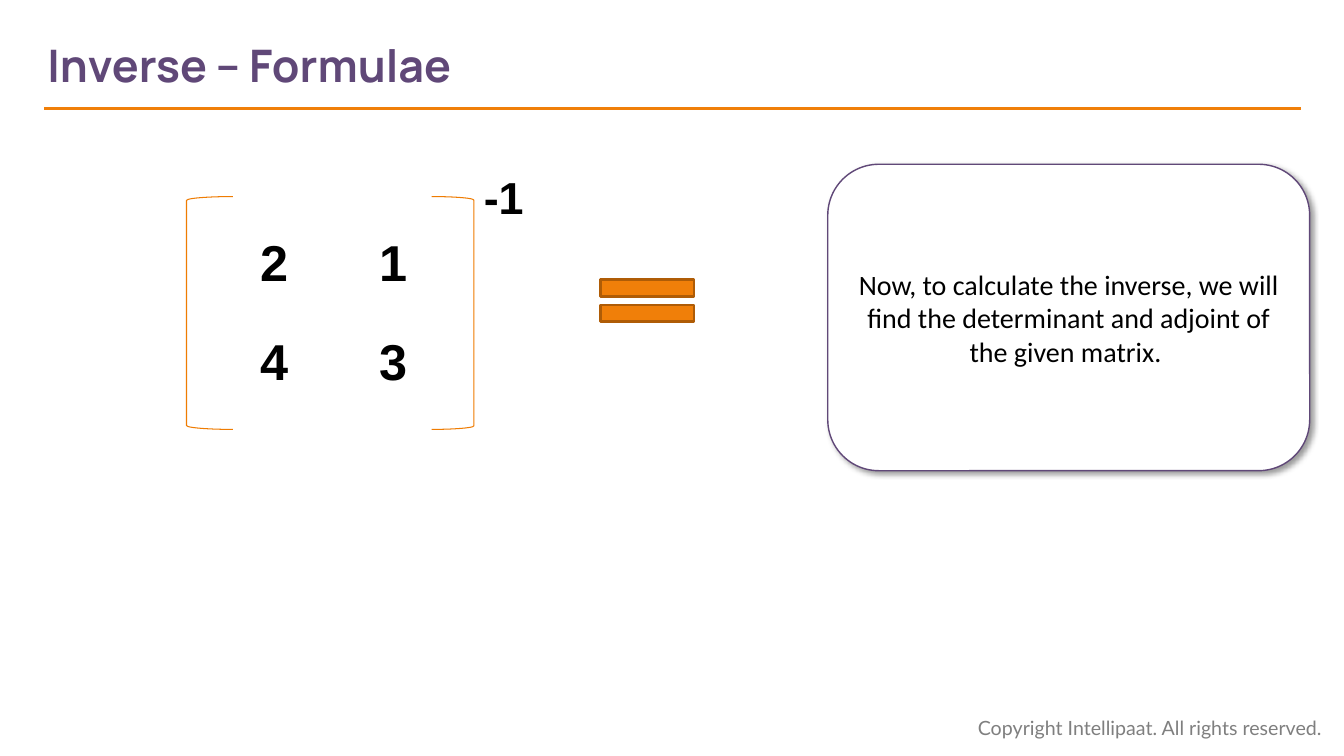
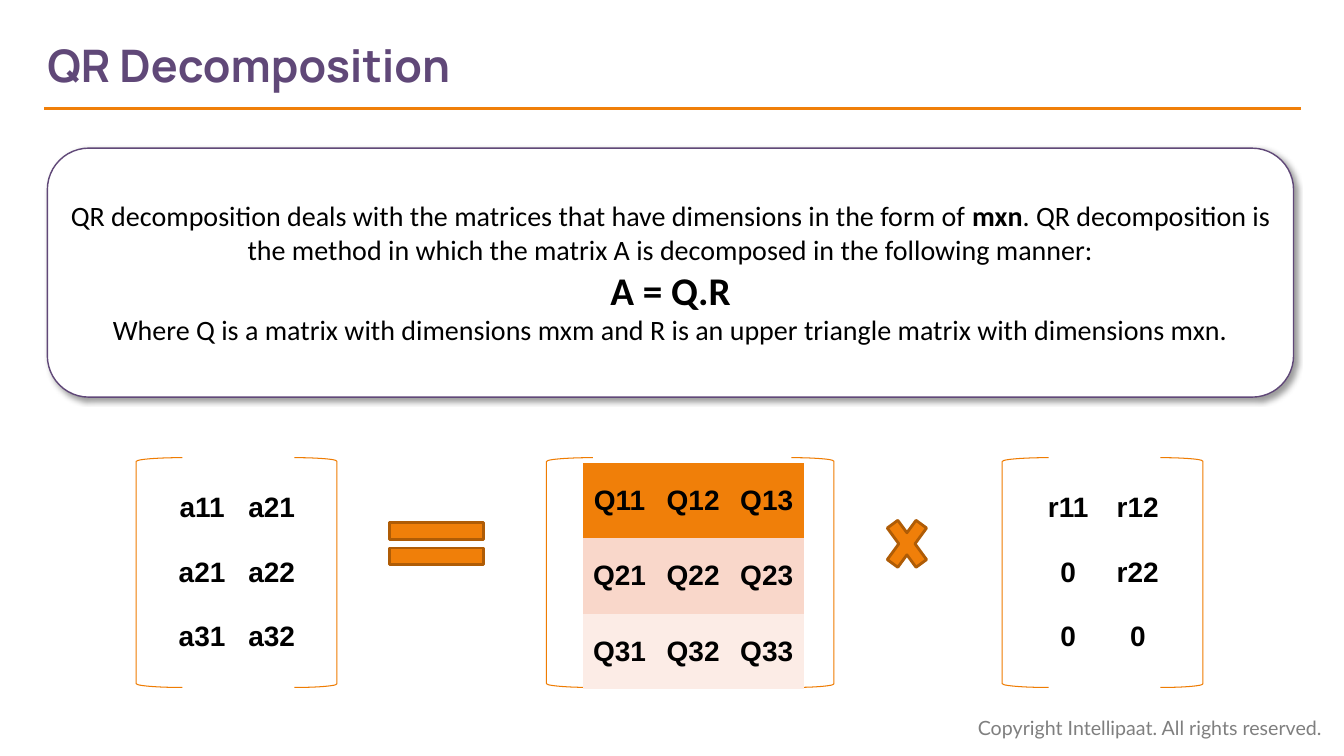
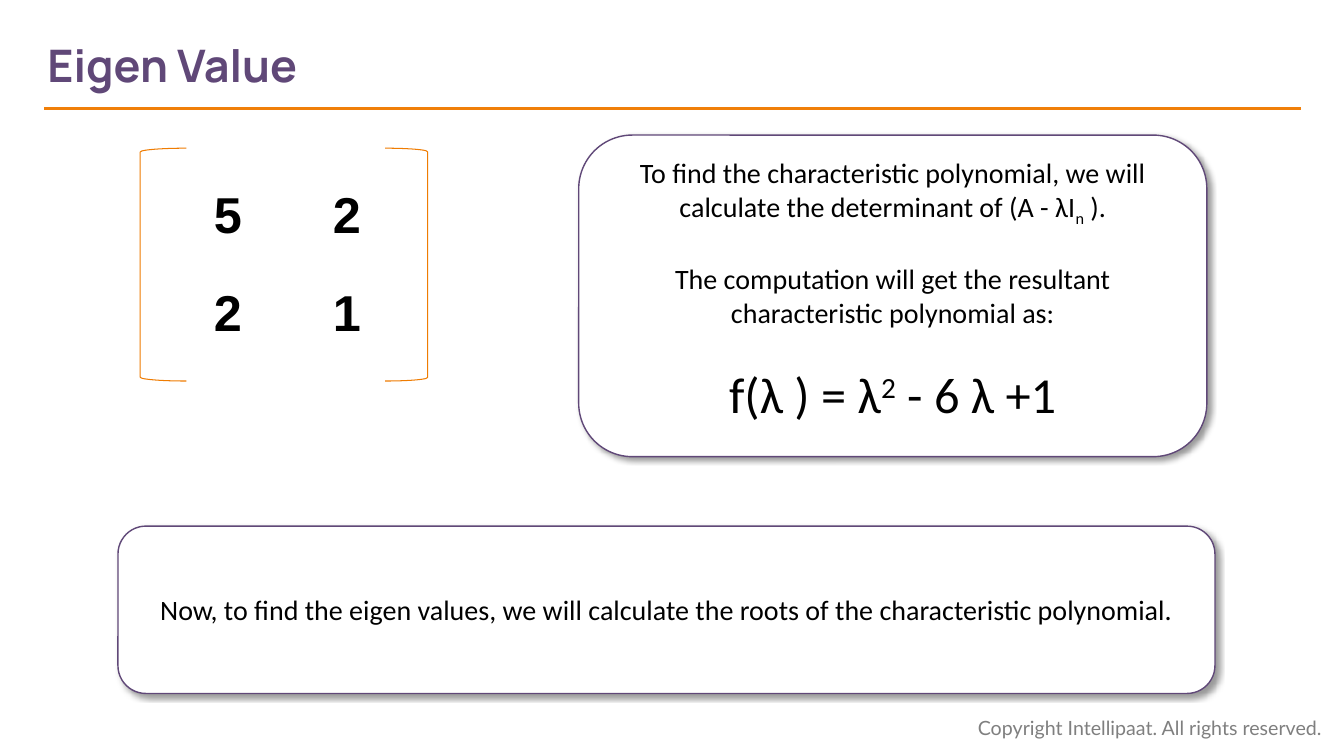
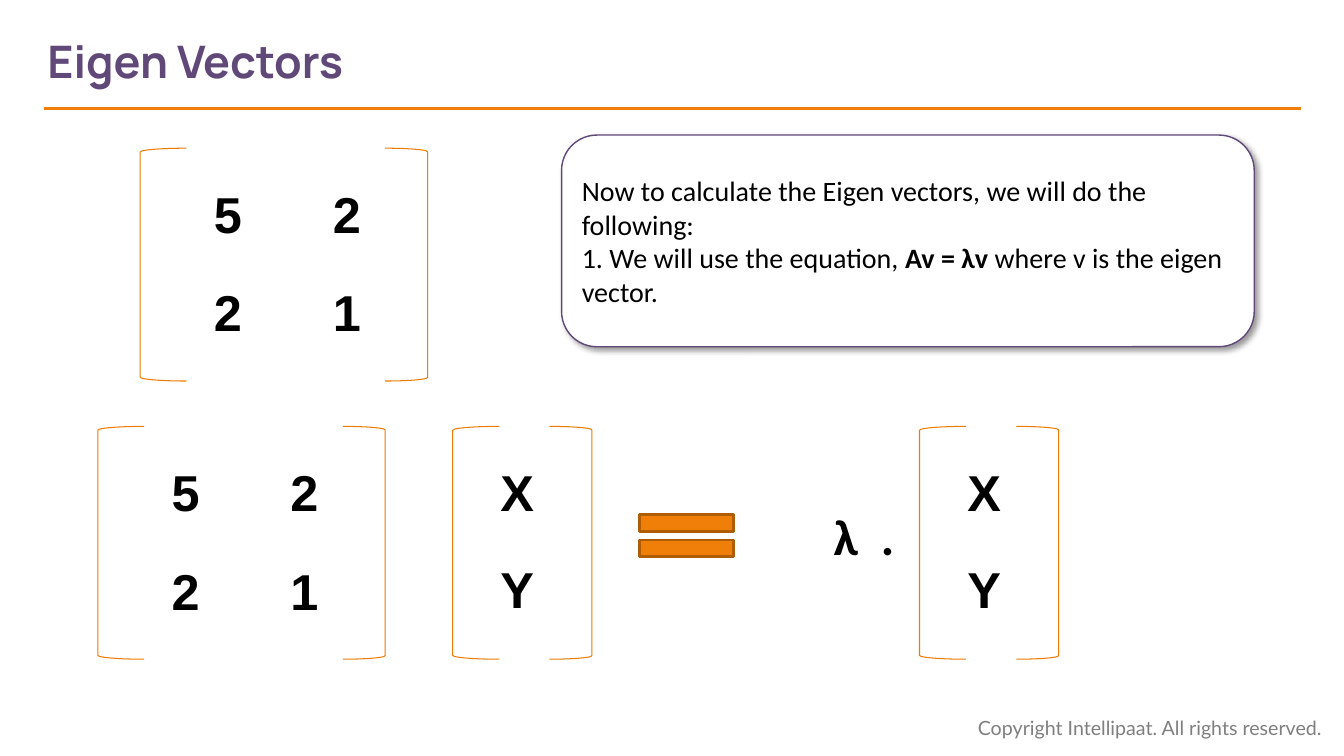
"""Builds four slides on matrix inverse, QR decomposition and eigen values."""
import pptx
import pptx.util
import pptx.dml.color
import pptx.enum.shapes
import pptx.enum.text
import pptx.oxml
import pptx.oxml.ns

Inches, Pt = pptx.util.Inches, pptx.util.Pt
RGBColor = pptx.dml.color.RGBColor
SHAPE = pptx.enum.shapes.MSO_SHAPE
ANCHOR = pptx.enum.text.MSO_ANCHOR
ALIGN = pptx.enum.text.PP_ALIGN

ORANGE = RGBColor(0xF0, 0x7F, 0x09)
DARK_ORANGE = RGBColor(0xAF, 0x5C, 0x06)
BRACKET = RGBColor(0xEF, 0x7C, 0x02)
PURPLE = RGBColor(0x60, 0x48, 0x78)
PEACH = RGBColor(0xF9, 0xD7, 0xCA)
PALE = RGBColor(0xFC, 0xEC, 0xE6)
WHITE = RGBColor(0xFF, 0xFF, 0xFF)
BLACK = RGBColor(0, 0, 0)
GREY = RGBColor(0x7F, 0x7F, 0x7F)

FOOTER = "Copyright Intellipaat. All rights reserved."
NO_GRID = "{2D5ABB26-0587-4C30-8999-92F81FD0307C}"
SHADOW = (
    '<a:outerShdw %s blurRad="50800" dist="38100" dir="2700000" algn="tl" rotWithShape="0">'
    '<a:srgbClr val="000000"><a:alpha val="40000"/></a:srgbClr></a:outerShdw>'
    % pptx.oxml.ns.nsdecls("a")
)

PAIR = dict(size=(2.85, 2.31), cell=(1.18, 0.98), inset=(0.28, 0.18), pt=36)
VECTOR = dict(size=(1.38, 2.31), cell=(0.86, 0.96), inset=(0.21, 0.19), pt=36)
TALL = dict(size=(1.99, 2.28), cell=(0.69, 0.64), inset=(0.31, 0.18), pt=20)
BANDED = dict(size=(2.85, 2.28), cell=(0.73, 0.75), inset=(0.36, 0.05), pt=20,
              fills=(ORANGE, PEACH, PALE))
EQUAL = (SHAPE.MATH_EQUAL, 1.26, 0.71)
TIMES = (SHAPE.MATH_MULTIPLY, 0.55, 0.75)

BOLD = dict(bold=True)
BIG = dict(size=36)
EIGEN_MATRIX = ["5 2", "2 1"]

SLIDES = [
    dict(
        title="Inverse – Formulae",
        callouts=[dict(at=(8.21, 1.63, 4.78, 3.04), paragraphs=[
            [("Now, to calculate the inverse, we will find the determinant and adjoint "
              "of the given matrix. ", {})]])],
        matrices=[(PAIR, 1.85, 1.95, ["2 1", "4 3"])],
        symbols=[(EQUAL, 5.79, 2.63)],
        labels=[("-1", (4.7, 1.63, 0.69, 0.64), "Arial", 32)],
    ),
    dict(
        title="QR Decomposition",
        callouts=[dict(at=(0.47, 1.47, 12.36, 2.47), paragraphs=[
            [("QR decomposition deals with the matrices that have dimensions in the form of ", {}),
             ("mxn", BOLD),
             (". QR decomposition is the method in which the matrix A is decomposed "
              "in the following manner:", {})],
            [("A = Q.R", dict(size=28, bold=True))],
            [("Where Q is a matrix with dimensions mxm and R is an upper triangle matrix "
              "with dimensions mxn.", {})]])],
        matrices=[
            (TALL, 1.35, 4.54, ["a11 a21", "a21 a22", "a31 a32"]),
            (BANDED, 5.42, 4.54, ["Q11 Q12 Q13", "Q21 Q22 Q23", "Q31 Q32 Q33"]),
            (TALL, 9.94, 4.54, ["r11 r12", "0 r22", "0 0"]),
        ],
        symbols=[(EQUAL, 3.7, 5.04), (TIMES, 8.72, 5.02)],
    ),
    dict(
        title="Eigen Value",
        callouts=[
            dict(at=(5.74, 1.34, 6.23, 3.19), anchor=ANCHOR.TOP, gap=24.4, paragraphs=[
                [("To find the characteristic polynomial, we will calculate the "
                  "determinant of (A - λI", {}),
                 ("n", dict(baseline=-25)), (" ).", {})],
                [("The computation will get the resultant characteristic polynomial as:", {})],
                [("f(λ ) = λ", BIG), ("2", dict(size=36, baseline=30)), (" - 6 λ +1", BIG)]]),
            dict(at=(1.17, 5.22, 10.88, 1.66), paragraphs=[
                [("Now, to find the eigen values, we will calculate the roots of the "
                  "characteristic polynomial.", {})]]),
        ],
        matrices=[(PAIR, 1.39, 1.47, EIGEN_MATRIX)],
    ),
    dict(
        title="Eigen Vectors",
        title_top=0.18,
        callouts=[dict(at=(5.57, 1.34, 6.87, 2.1), align=ALIGN.LEFT, paragraphs=[
            [("Now to calculate the Eigen vectors, we will do the following:", {})],
            [("1. We will use the equation, ", {}), ("Av = λv ", BOLD),
             ("where v is the eigen vector.", {})]])],
        matrices=[
            (PAIR, 1.39, 1.47, EIGEN_MATRIX),
            (PAIR, 0.97, 4.23, EIGEN_MATRIX),
            (VECTOR, 4.49, 4.23, ["X", "Y"]),
            (VECTOR, 9.12, 4.23, ["X", "Y"]),
        ],
        symbols=[(EQUAL, 6.18, 4.96)],
        labels=[("λ  .", (8.17, 4.96, 0.95, 0.71), "Calibri", 36)],
    ),
]


def add_run(p, text, font, size=20, color=BLACK, bold=False, baseline=0):
    r = p.add_run()
    r.text = text
    r.font.name, r.font.size, r.font.bold = font, Pt(size), bold
    r.font.color.rgb = color
    if baseline:
        r.font._element.set("baseline", str(baseline * 1000))


def add_text(s, text, at, font, size, color=BLACK, bold=True, anchor=ANCHOR.TOP):
    tf = s.shapes.add_textbox(*map(Inches, at)).text_frame
    tf.word_wrap = True
    tf.vertical_anchor = anchor
    add_run(tf.paragraphs[0], text, font, size, color, bold)
    return tf


def add_preset(shapes, kind, at, fill, line, width):
    sp = shapes.add_shape(kind, *map(Inches, at))
    sp.shadow.inherit = False
    if fill is None:
        sp.fill.background()
    else:
        sp.fill.solid()
        sp.fill.fore_color.rgb = fill
    sp.line.color.rgb = line
    sp.line.width = Pt(width)
    return sp


def add_callout(s, at, paragraphs, anchor=ANCHOR.MIDDLE, align=ALIGN.CENTER, gap=0):
    sp = add_preset(s.shapes, SHAPE.ROUNDED_RECTANGLE, at, WHITE, PURPLE, 1)
    effects = sp._element.spPr.find(pptx.oxml.ns.qn("a:effectLst"))
    effects.append(pptx.oxml.parse_xml(SHADOW))
    tf = sp.text_frame
    tf.word_wrap = True
    tf.vertical_anchor = anchor
    for i, runs in enumerate(paragraphs):
        p = tf.add_paragraph() if i else tf.paragraphs[0]
        p.alignment = align
        if i and gap:
            p.space_before = Pt(gap)
        for text, style in runs:
            add_run(p, text, "Calibri", **style)


def add_matrix(s, kind, left, top, rows):
    width, height = kind["size"]
    brackets = s.shapes.add_group_shape().shapes
    for bracket, x, w in ((SHAPE.LEFT_BRACKET, left, 0.46),
                          (SHAPE.RIGHT_BRACKET, left + width - 0.42, 0.42)):
        add_preset(brackets, bracket, (x, top, w, height), None, BRACKET, 0.75)

    cells = [row.split() for row in rows]
    (cell_w, cell_h), (dx, dy) = kind["cell"], kind["inset"]
    n_rows, n_cols = len(cells), len(cells[0])
    at = (left + dx, top + dy, n_cols * cell_w, n_rows * cell_h)
    table = s.shapes.add_table(n_rows, n_cols, *map(Inches, at)).table
    table.first_row = table.horz_banding = False
    table._tbl.tblPr.find(pptx.oxml.ns.qn("a:tableStyleId")).text = NO_GRID
    fills = kind.get("fills")
    for i, row in enumerate(cells):
        for j, text in enumerate(row):
            cell = table.cell(i, j)
            cell.vertical_anchor = ANCHOR.MIDDLE
            if fills:
                cell.fill.solid()
                cell.fill.fore_color.rgb = fills[i]
            else:
                cell.fill.background()
            p = cell.text_frame.paragraphs[0]
            p.alignment = ALIGN.CENTER
            add_run(p, text, "Arial", kind["pt"], bold=True)


def add_frame(s, title, title_top):
    add_text(s, FOOTER, (9.6, 7.05, 3.67, 0.34), "Lato", 14, GREY, bold=False)
    rule = s.shapes.add_connector(pptx.enum.shapes.MSO_CONNECTOR.STRAIGHT,
                                  *map(Inches, (12.9, 1.08, 0.44, 1.08)))
    rule.line.color.rgb = ORANGE
    rule.line.width = Pt(2.25)
    rule._element.spPr.append(pptx.oxml.parse_xml(
        "<a:effectLst %s/>" % pptx.oxml.ns.nsdecls("a")))
    tf = add_text(s, title, (0.47, title_top, 9.47, 0.84), "Manrope", 32, PURPLE,
                  anchor=ANCHOR.MIDDLE)
    tf.margin_left = 0


def main():
    prs = pptx.Presentation()
    prs.slide_width, prs.slide_height = Inches(13.33), Inches(7.5)
    for content in SLIDES:
        s = prs.slides.add_slide(prs.slide_layouts[6])
        add_frame(s, content["title"], content.get("title_top", 0.22))
        for callout in content["callouts"]:
            add_callout(s, **callout)
        for matrix in content["matrices"]:
            add_matrix(s, *matrix)
        for (kind, width, height), left, top in content.get("symbols", []):
            add_preset(s.shapes, kind, (left, top, width, height), ORANGE, DARK_ORANGE, 2)
        for label in content.get("labels", []):
            add_text(s, *label)
    prs.save("out.pptx")


if __name__ == "__main__":
    main()
